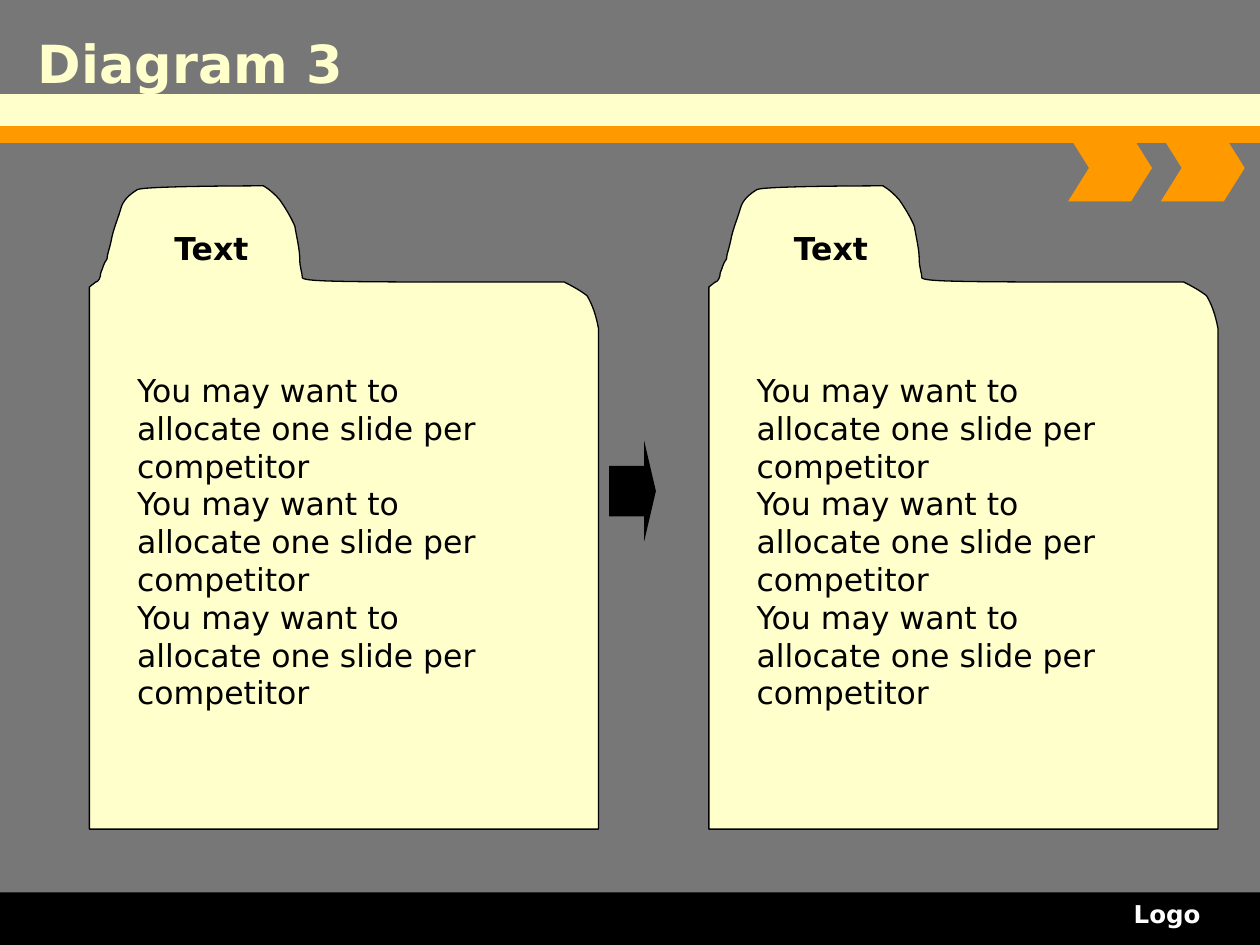
from lxml.etree import SubElement
from pptx import Presentation
from pptx.dml.color import RGBColor
from pptx.enum.shapes import MSO_SHAPE as Preset
from pptx.enum.text import MSO_ANCHOR as Anchor, PP_ALIGN as Align
from pptx.oxml.ns import qn
from pptx.util import Pt

FONT = "DejaVu Sans"
COLORS = {
    "background": "777777",
    "cream": "FFFFCC",
    "orange": "FF9900",
    "black": "000000",
    "white": "FFFFFF",
}
SLIDE_W, SLIDE_H = 720, 540
FOLDER_LEFT, FOLDER_TOP, FOLDER_STEP = 51.1, 106.2, 354
CHEVRON_LEFT, CHEVRON_STEP = 610.4, 53
ADVICE = ["You may want to allocate one slide per competitor"] * 3

# Folder outline, relative to its top left corner: a single point is the end
# of a straight line, three points are the handles and end of a curve.
FOLDER_OUTLINE = [
    [(266.4, 55)],
    # Tab, from its right foot to its left foot
    [(147.6, 55), (123.8, 55), (121.7, 52.6)],
    [(121.7, 49.7), (120.2, 46.8), (120.2, 41.8)],
    [(120.2, 36.7), (118.8, 31), (117.4, 23)],
    [(115.2, 18), (112.3, 13), (108.7, 7.9)],
    [(103.7, 2.2), (99.4, 0), (99.4, 0)],
    [(99.4, 0), (31, 0), (27.4, 2.2)],
    [(23, 5), (19.4, 7.9), (18, 13)],
    [(16.6, 18), (14.4, 23), (13, 28.8)],
    [(11.5, 36.7), (10.1, 38.9), (10.1, 41.8)],
    [(7.9, 44.6), (7.9, 46.8), (6.5, 49.7)],
    [(6.5, 52.6), (5, 55), (3.6, 55)],
    # Body and its rounded right corner
    [(0, 57.8)],
    [(0, 367.6)],
    [(290.9, 367.6)],
    [(290.9, 81.4)],
    [(289.4, 73.4), (287.3, 67.7), (284.4, 62.8)],
    [(280.8, 60), (276.5, 57.6), (271.4, 55)],
]
CHEVRON_OUTLINE = [
    [point] for point in [(0, 0), (36, 0), (47.9, 19), (36, 38), (0, 38), (11.9, 19)]
]


def rgb(name):
    return RGBColor.from_string(COLORS[name])


def paint(shape, fill, line=None):
    shape.shadow.inherit = False
    shape.fill.solid()
    shape.fill.fore_color.rgb = rgb(fill)
    if line:
        shape.line.color.rgb = rgb(line)
        shape.line.width = Pt(0.75)
    else:
        shape.line.fill.background()


def add_preset(slide, preset, left, top, width, height, fill):
    shape = slide.shapes.add_shape(preset, Pt(left), Pt(top), Pt(width), Pt(height))
    paint(shape, fill)
    return shape


def add_outline(slide, segments, left, top, fill, line=None):
    corners = [(Pt(left + x), Pt(top + y)) for x, y in (s[-1] for s in segments)]
    builder = slide.shapes.build_freeform(*corners[0])
    builder.add_line_segments(corners[1:], close=True)
    shape = builder.convert_to_shape()
    # Turn the sides that have handles into cubic curves
    sides = list(shape._element.iter(qn("a:lnTo")))
    for side, segment in zip(sides, segments[1:]):
        if len(segment) == 3:
            side.clear()
            side.tag = qn("a:cubicBezTo")
            for x, y in segment:
                SubElement(side, qn("a:pt"), x=str(Pt(x)), y=str(Pt(y)))
    paint(shape, fill, line)


def add_text(slide, paragraphs, left, top, width, height, *, size=18,
             color="black", bold=False, align=Align.LEFT, anchor=Anchor.TOP):
    box = slide.shapes.add_textbox(Pt(left), Pt(top), Pt(width), Pt(height))
    frame = box.text_frame
    frame.word_wrap = True
    frame.vertical_anchor = anchor
    frame.text = "\n".join(paragraphs)
    for paragraph in frame.paragraphs:
        paragraph.alignment = align
        font = paragraph.runs[0].font
        font.name, font.size, font.bold = FONT, Pt(size), bold
        font.color.rgb = rgb(color)


def add_folder(slide, left, heading, paragraphs):
    add_outline(slide, FOLDER_OUTLINE, left, FOLDER_TOP, "cream", line="black")
    add_text(slide, [heading], left - 9.1, 127.4, 157.7, 28.8,
             bold=True, align=Align.CENTER)
    add_text(slide, paragraphs, left + 20.2, 208.5, 229, 158.4)


def add_frame(slide):
    # Footer bar and the two header stripes
    for top, height, fill in [(510, 30, "black"), (53.8, 18.2, "cream"), (72, 9.6, "orange")]:
        add_preset(slide, Preset.RECTANGLE, 0, top, SLIDE_W, height, fill)
    # Chevrons hanging from the orange stripe
    for index in range(2):
        add_outline(slide, CHEVRON_OUTLINE, CHEVRON_LEFT + index * CHEVRON_STEP, 77, "orange")


def main():
    deck = Presentation()
    deck.slide_width, deck.slide_height = Pt(SLIDE_W), Pt(SLIDE_H)
    slide = deck.slides.add_slide(deck.slide_layouts[6])
    slide.background.fill.solid()
    slide.background.fill.fore_color.rgb = rgb("background")

    add_frame(slide)

    # Title and footer label
    add_text(slide, ["Diagram 3"], 14.6, 11.9, 687.6, 48, size=30,
             color="cream", bold=True, anchor=Anchor.MIDDLE)
    add_text(slide, ["Logo"], 405.2, 510, 288, 24, size=14,
             color="white", bold=True, align=Align.RIGHT)

    # Two folders and the arrow from the first to the second
    for index in range(2):
        add_folder(slide, FOLDER_LEFT + index * FOLDER_STEP, "Text", ADVICE)
    arrow = add_preset(slide, Preset.DOWN_ARROW, 332.6, 267.2, 57.6, 26.8, "black")
    arrow.adjustments[0], arrow.adjustments[1] = 0.5, 0.25
    arrow.rotation = 270

    deck.save("out.pptx")


if __name__ == "__main__":
    main()
